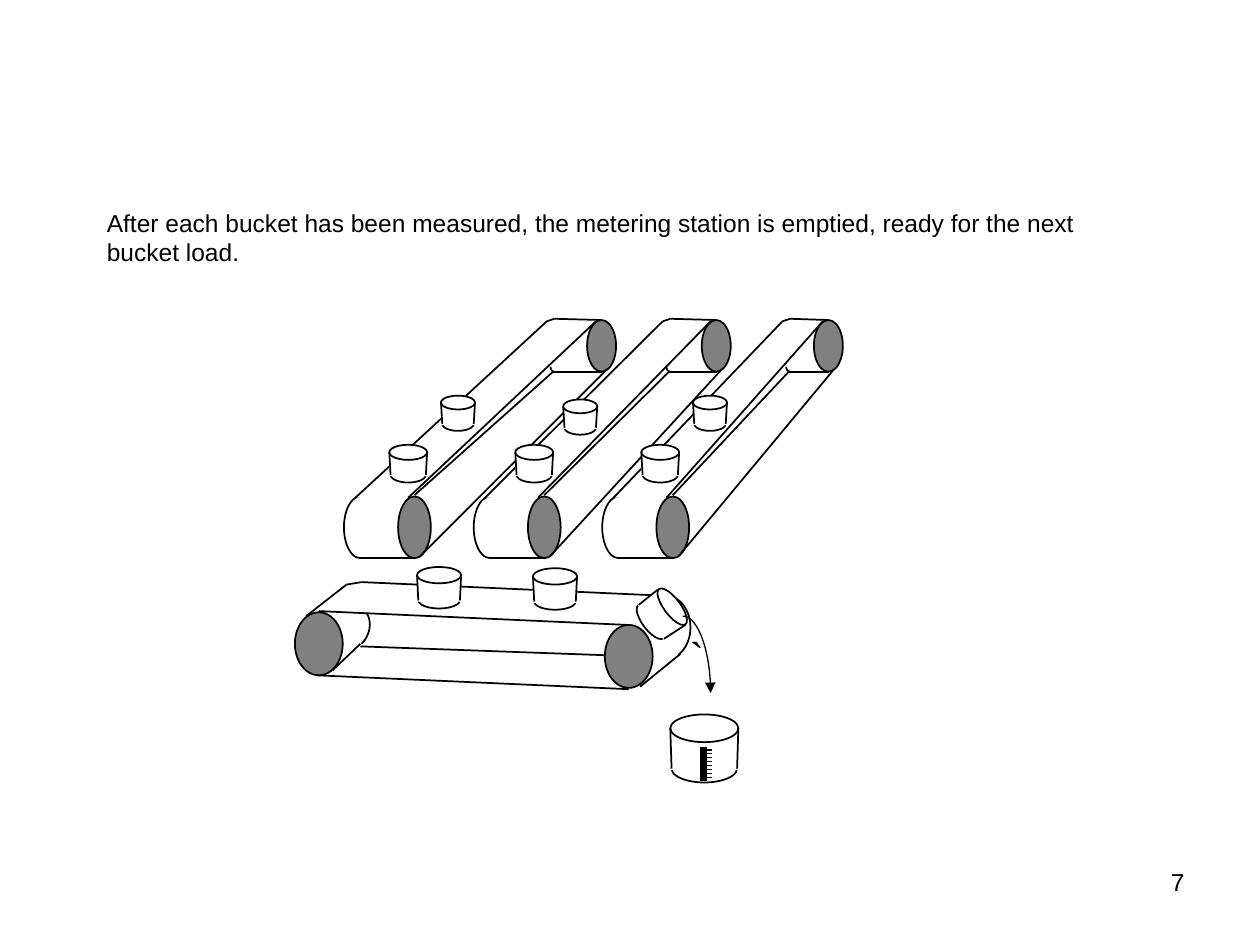
from lxml import etree
from pptx import Presentation
from pptx.dml.color import RGBColor
from pptx.enum import shapes, text
from pptx.oxml import ns
from pptx.util import Inches, Pt

BLACK, WHITE, GRAY = "000000", "FFFFFF", "808080"
OVAL, RECT = shapes.MSO_SHAPE.OVAL, shapes.MSO_SHAPE.RECTANGLE
colour = RGBColor.from_string

deck = Presentation()
deck.slide_width, deck.slide_height = Inches(10), Inches(7.5)
page = deck.slides.add_slide(deck.slide_layouts[6])


def add(kind, *numbers, fill=None, stroke=BLACK, weight=1, turn=0):
    """Add a line (two ends), a curve (four Bezier points) or a preset shape (box)."""
    lengths = [Inches(number) for number in numbers]
    if kind == "line":
        item = page.shapes.add_connector(shapes.MSO_CONNECTOR.STRAIGHT, *lengths)
    elif kind == "curve":
        xs, ys = lengths[::2], lengths[1::2]
        points = []
        for step in range(25):
            t = step / 24
            mix = ((1 - t) ** 3, 3 * t * (1 - t) ** 2, 3 * t * t * (1 - t), t ** 3)
            points.append([sum(m * v for m, v in zip(mix, axis)) for axis in (xs, ys)])
        builder = page.shapes.build_freeform(*points[0])
        builder.add_line_segments(points[1:], close=False)
        item = builder.convert_to_shape()
    else:
        item = page.shapes.add_shape(kind, *lengths)
        item.rotation = turn
    if kind != "line":
        item.shadow.inherit = False
        if fill:
            item.fill.solid()
            item.fill.fore_color.rgb = colour(fill)
        else:
            item.fill.background()
    if stroke:
        item.line.color.rgb = colour(stroke)
        item.line.width = Pt(weight)
    else:
        item.line.fill.background()
    if kind == "line":
        etree.SubElement(item._element.spPr, ns.qn("a:effectLst"))
    return item


def write(box, words, size, font, align):
    """Put one paragraph of black text in a shape."""
    box.text_frame.text = words
    para = box.text_frame.paragraphs[0]
    para.alignment = align
    para.font.size = Pt(size)
    para.font.name = font
    para.font.color.rgb = colour(BLACK)


# Three sloping conveyors: front wheel, back wheel, far edge
conveyors = [(4.19, 5.57, 5.26), (5.21, 6.46, 6.21), (3.16, 4.66, 4.34)]
for front, back, edge in conveyors:
    add("line", front + 0.08, 3.95, back + 0.07, 2.55)
    add(OVAL, front, 3.94, 0.26, 0.49, fill=GRAY)
    add(OVAL, front - 0.43, 3.94, 0.26, 0.49)
    add(RECT, front - 0.3, 3.9, 0.23, 0.6, fill=WHITE, stroke=None)
    add("line", front + 0.13, 4.43, front - 0.31, 4.43)
    add(RECT, front - 0.42, 3.88, 0.18, 0.07, fill=WHITE, stroke=None)
    add("line", front - 0.35, 3.96, edge, 2.55)
    add(OVAL, back, 2.54, 0.23, 0.41, fill=GRAY)
    add("line", back + 0.11, 2.54, edge + 0.06, 2.53)
    add("line", edge, 2.55, edge + 0.06, 2.53)
    add("line", back + 0.12, 2.95, edge + 0.04, 2.95)
    add("curve", edge + 0.06, 2.95, edge + 0.04, 2.95,
        edge + 0.03, 2.93, edge + 0.03, 2.91)
    add("line", edge + 0.05, 2.95, front + 0.13, 3.93)
for front, back, edge in conveyors:
    add("line", front + 0.18, 4.41, back + 0.16, 2.93)

# Cross conveyor
add(OVAL, 2.34, 4.86, 0.38, 0.5, fill=GRAY)
add("line", 2.43, 4.89, 2.75, 4.64)
add("line", 2.75, 4.64, 2.87, 4.62)
add(OVAL, 5.1, 4.73, 0.38, 0.5)
add(RECT, 5.03, 4.66, 0.26, 0.69, fill=WHITE, stroke=None)
add(OVAL, 4.8, 4.96, 0.38, 0.5, fill=GRAY)
add("line", 5.31, 4.73, 2.87, 4.62)
add(RECT, 5.23, 5.14, 0.15, 0.24, fill=WHITE, stroke=None)
for ends in [(5.08, 5.45, 5.4, 5.19), (4.99, 5.47, 2.52, 5.36),
             (2.86, 5.13, 4.8, 5.2), (2.64, 5.32, 2.86, 5.11)]:
    add("line", *ends)
add("curve", 2.88, 4.83, 2.96, 4.9, 2.95, 5.03, 2.87, 5.11)
add(RECT, 2.83, 4.8, 0.13, 0.07, fill=WHITE, stroke=None)
add("line", 4.98, 4.96, 2.53, 4.85)

# Upright buckets, the last being the metering station: left, top, width, rim, depth
buckets = [(x, 3.53, 0.3, 0.12, 0.18) for x in (5.09, 4.09, 3.09)]
buckets += [(x, y, 0.27, 0.11, 0.17) for x, y in ((3.5, 3.14), (4.47, 3.17), (5.5, 3.14))]
buckets += [(x, y, 0.35, 0.13, 0.2) for x, y in ((3.31, 4.5), (4.23, 4.51))]
buckets += [(5.32, 5.67, 0.54, 0.22, 0.32)]
for x, y, width, rim, depth in buckets:
    middle = y + rim / 2
    add(OVAL, x + 0.01, y + depth, width - 0.02, rim)
    add(RECT, x, middle + 0.01, width, depth, fill=WHITE, stroke=None)
    add(OVAL, x, y, width, rim, fill=WHITE)
    add("line", x, middle, x + 0.01, middle + depth)
    add("line", x + width, middle, x + width - 0.01, middle + depth)

# Tipping bucket
add(OVAL, 5, 4.87, 0.33, 0.13, turn=53.1)
add(RECT, 5.07, 4.78, 0.35, 0.2, fill=WHITE, stroke=None, turn=53.1)
add(OVAL, 5.16, 4.75, 0.35, 0.13, fill=WHITE, turn=53.1)
add("line", 5.22, 4.68, 5.07, 4.8)
add("line", 5.44, 4.96, 5.27, 5.07)

# Measuring scale
add("line", 5.58, 5.93, 5.58, 6.2, weight=4)
for tick in range(8):
    height = 5.95 + tick * 0.22 / 7
    add("line", 5.59, height, 5.65, height)

# Pouring arrow
arrow = add("curve", 5.42, 4.89, 5.54, 4.89, 5.64, 5.17, 5.64, 5.5, weight=0.75)
etree.SubElement(arrow.line._get_or_add_ln(), ns.qn("a:tailEnd"), type="triangle")
write(arrow, "`", 24, "Times New Roman", text.PP_ALIGN.CENTER)
arrow.text_frame.word_wrap = False
arrow.text_frame.vertical_anchor = text.MSO_ANCHOR.MIDDLE

# Caption and page number
caption = ("After each bucket has been measured, the metering station is emptied, "
           "ready for the next bucket load.")
for words, place, align in [
    (caption, (0.75, 1.6, 8.5, 0.57), text.PP_ALIGN.LEFT),
    ("7", (7.17, 6.83, 2.33, 0.52), text.PP_ALIGN.RIGHT),
]:
    box = page.shapes.add_textbox(*[Inches(number) for number in place])
    box.text_frame.word_wrap = True
    write(box, words, 14, "Arial", align)

deck.save("out.pptx")
